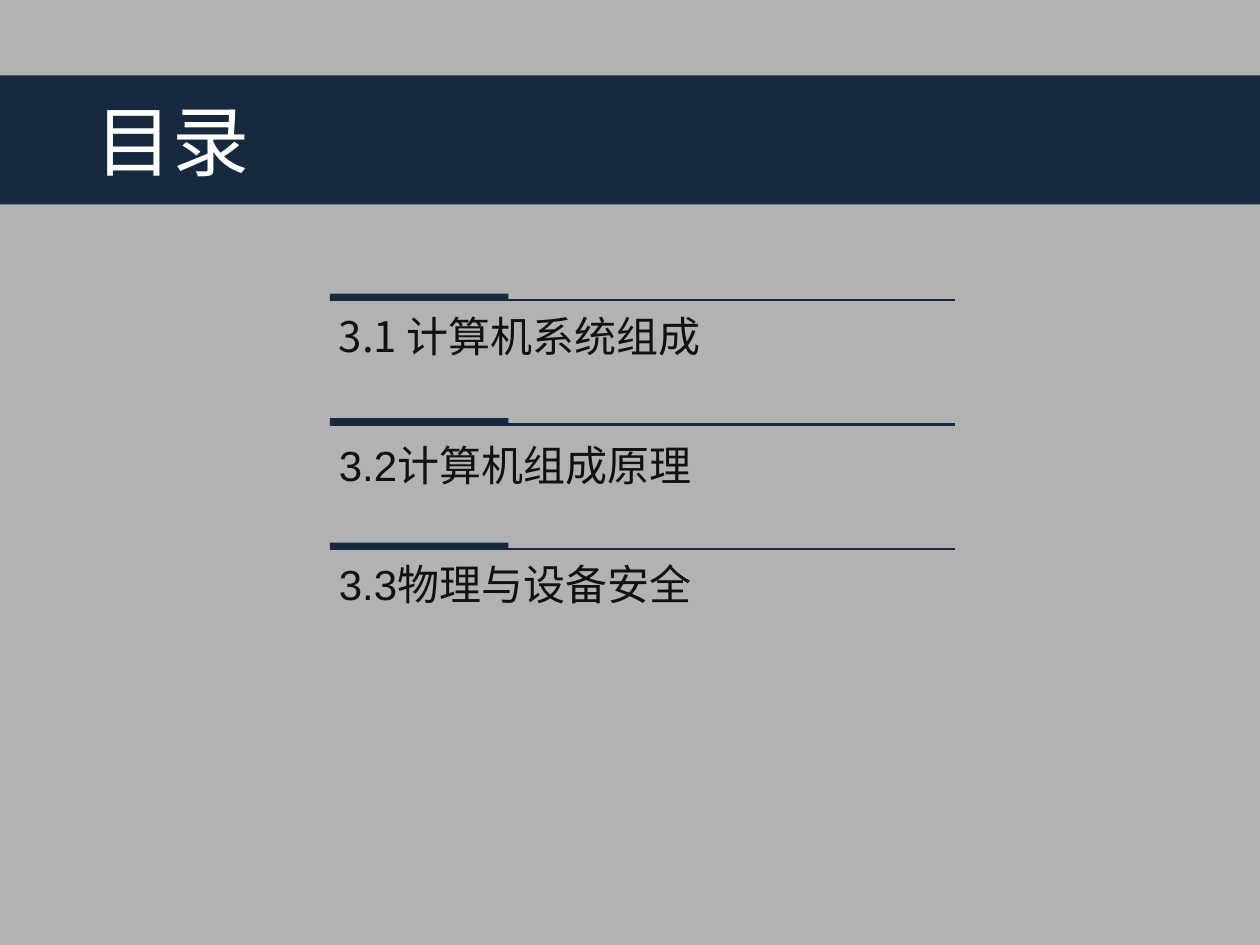
from lxml import etree
from pptx import Presentation
from pptx import util as u
from pptx.dml.color import RGBColor
from pptx.enum import shapes, text
from pptx.oxml.ns import qn

COLOURS = {"ground": "B2B2B2", "navy": "16293E", "title": "FFFFFF", "entry": "111111"}
CJK_FONT = "Noto Sans CJK SC"
# Section title, Latin font, box width and gap below its rule (cm)
ENTRIES = [
    ("3.1 计算机系统组成", CJK_FONT, 7.87, 0.08),
    ("3.2计算机组成原理", "Arial", 7.62, 0.18),
    ("3.3物理与设备安全", "Arial", 7.62, 0.06),
]


def colour(name):
    return RGBColor.from_string(COLOURS[name])


def write(frame, words, font_name, size, colour_name):
    frame.word_wrap = True
    line = frame.paragraphs[0]
    line.text = words
    line.alignment = text.PP_ALIGN.LEFT
    font = line.font
    font.size = u.Pt(size)
    font.color.rgb = colour(colour_name)
    font.name = font_name
    etree.SubElement(font._element, qn("a:ea"), typeface=CJK_FONT)


def add_bar(parent, left, top, width, height):
    bar = parent.add_shape(shapes.MSO_SHAPE.RECTANGLE,
                           u.Cm(left), u.Cm(top), u.Cm(width), u.Cm(height))
    bar.shadow.inherit = False
    bar.fill.solid()
    bar.fill.fore_color.rgb = colour("navy")
    bar.line.fill.background()
    return bar


def add_banner(slide, left, top, width, height):
    banner = add_bar(slide.shapes, left, top, width, height)
    frame = banner.text_frame
    frame.margin_left = u.Cm(2)
    frame.vertical_anchor = text.MSO_ANCHOR.MIDDLE
    write(frame, "目录", "Arial", 44, "title")


def add_rule(slide, left, top, width):
    """A thin line with a short thick bar resting on its left end."""
    group = slide.shapes.add_group_shape().shapes
    rule = group.add_connector(shapes.MSO_CONNECTOR.STRAIGHT,
                               u.Cm(left), u.Cm(top), u.Cm(left + width), u.Cm(top))
    rule.line.color.rgb = colour("navy")
    rule.line.width = u.Pt(1.5)
    etree.SubElement(rule._element.spPr, qn("a:effectLst"))
    bar_height = 0.13
    add_bar(group, left, top - bar_height, 3.6, bar_height)


def add_contents(slide, left, top, width, pitch):
    for row, (words, font_name, entry_width, gap) in enumerate(ENTRIES):
        rule_top = top + row * pitch
        add_rule(slide, left, rule_top, width)
        entry = slide.shapes.add_textbox(u.Cm(left - 0.07), u.Cm(rule_top + gap),
                                         u.Cm(entry_width), u.Cm(1.27))
        write(entry.text_frame, words, font_name, 24, "entry")


def main():
    deck = Presentation()
    deck.slide_width, deck.slide_height = u.Cm(25.4), u.Cm(19.05)
    slide = deck.slides.add_slide(deck.slide_layouts[6])
    slide.background.fill.solid()
    slide.background.fill.fore_color.rgb = colour("ground")
    add_banner(slide, -0.08, 1.52, 25.56, 2.6)
    add_contents(slide, 6.65, 6.05, 12.6, 2.51)
    deck.save("out.pptx")


if __name__ == "__main__":
    main()
